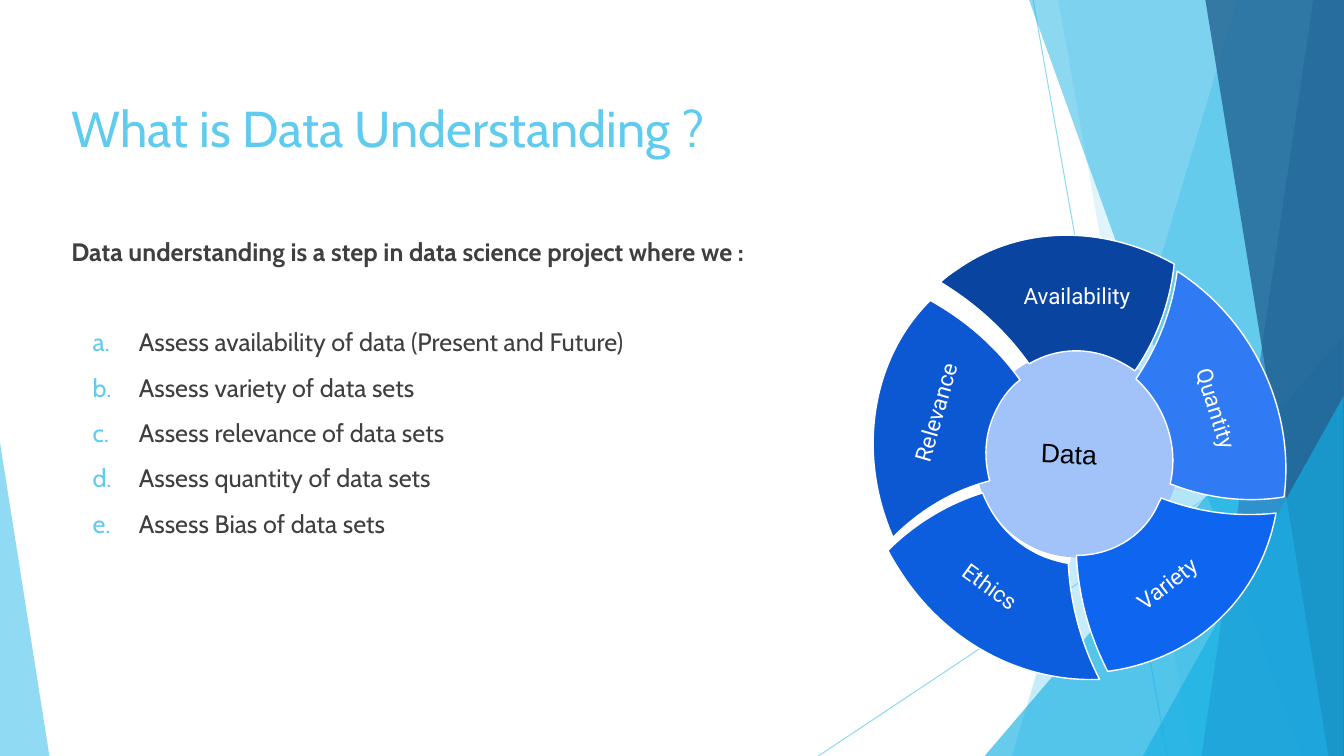
from lxml import etree
from pptx import Presentation
from pptx.dml.color import RGBColor
from pptx.enum.shapes import MSO_CONNECTOR, MSO_SHAPE
from pptx.enum.text import MSO_ANCHOR, PP_ALIGN
from pptx.oxml.ns import qn
from pptx.util import Cm, Pt

STRAIGHT = MSO_CONNECTOR.STRAIGHT
TRIANGLE, ELLIPSE = MSO_SHAPE.ISOSCELES_TRIANGLE, MSO_SHAPE.OVAL
TOP, MIDDLE = MSO_ANCHOR.TOP, MSO_ANCHOR.MIDDLE
LEFT, CENTER = PP_ALIGN.LEFT, PP_ALIGN.CENTER

WIDTH, HEIGHT = 33.87 / 2.54, 7.5
SKY, AZURE, WHITE, GREY = "5FCBEF", "16B0E3", "FFFFFF", "3F3F3F"

RAYS = [((10.25, 0), (11.58, HEIGHT)), ((WIDTH, 4.03), (8.12, HEIGHT))]
# Each facet: top left x, bottom left x, colour, opacity
BACK_FACETS = [(12.28, 10.04, SKY, 35), (10.5, 11.83, SKY, 20)]
FRONT_FACETS = [(10.21, 12.91, AZURE, 49), (13.03, 11.92, "2E83C3", 69), (11.96, 13.18, "226292", 80)]

STEPS = [
    "Assess availability of data (Present and Future)",
    "Assess variety of data sets",
    "Assess relevance of data sets",
    "Assess quantity of data sets",
    "Assess Bias of data sets",
]

# Each segment: label, label box, label rotation, colour, start point, Bézier curves
SEGMENTS = [
    ("Relevance", (8.39, 3.74, 1.78, 0.7), 286.1, "0C58D3", (9.82, 4.77), [
        (9.76, 4.55, 9.77, 4.33, 9.86, 4.12), (9.92, 3.98, 10.01, 3.85, 10.12, 3.77),
        (9.88, 3.43, 9.57, 3.17, 9.23, 2.98), (8.64, 3.56, 8.5, 4.51, 8.86, 5.33),
        (9.12, 5.07, 9.44, 4.87, 9.82, 4.77)]),
    ("Ethics", (9.01, 5.43, 1.63, 0.77), 35.9, "0D5DDF", (10.27, 5.48), [
        (10.02, 5.35, 9.85, 5.14, 9.75, 4.89), (9.39, 5, 9.06, 5.21, 8.81, 5.46),
        (8.86, 5.56, 8.92, 5.65, 8.98, 5.74), (9.45, 6.42, 10.19, 6.77, 10.91, 6.74),
        (10.73, 6.39, 10.62, 6, 10.6, 5.59), (10.5, 5.57, 10.38, 5.54, 10.27, 5.48)]),
    ("Variety", (10.76, 5.4, 1.63, 0.77), 322.6, "0E65F0", (11.52, 4.94), [
        (11.52, 4.95, 11.51, 4.97, 11.5, 4.98), (11.36, 5.32, 11.03, 5.51, 10.68, 5.51),
        (10.7, 5.92, 10.81, 6.31, 10.99, 6.66), (11.3, 6.62, 11.6, 6.51, 11.87, 6.33),
        (12.3, 6.03, 12.57, 5.59, 12.66, 5.09), (12.29, 5.13, 11.91, 5.09, 11.52, 4.94)]),
    ("Availability", (9.87, 2.55, 1.63, 0.77), 0, "0944A1", (11.13, 3.6), [
        (11.17, 3.62, 11.22, 3.65, 11.26, 3.68), (11.48, 3.36, 11.61, 3, 11.65, 2.62),
        (10.97, 2.24, 10.14, 2.22, 9.5, 2.67), (9.44, 2.71, 9.38, 2.75, 9.33, 2.8),
        (9.66, 3, 9.97, 3.27, 10.21, 3.61), (10.48, 3.45, 10.82, 3.43, 11.13, 3.6)]),
    ("Quantity", (11.18, 3.7, 1.78, 0.7), 72.5, "307BF3", (11.68, 2.69), [
        (11.63, 3.07, 11.49, 3.44, 11.27, 3.76), (11.56, 4.02, 11.7, 4.43, 11.61, 4.8),
        (11.99, 4.95, 12.38, 4.99, 12.74, 4.93), (12.81, 4.4, 12.68, 3.83, 12.34, 3.33),
        (12.16, 3.07, 11.93, 2.85, 11.68, 2.69)]),
]


def length(inches):
    """Convert inches to a centimetre-based length."""
    return Cm(inches * 2.54)


def color(hex_string):
    """Return the colour for a hex string."""
    return RGBColor.from_string(hex_string)


def set_opacity(shape, percent):
    """Make the explicit colours of a shape partly transparent."""
    for element in shape.element.iter(qn("a:srgbClr")):
        etree.SubElement(element, qn("a:alpha")).set("val", str(percent * 1000))


def paint(shape, fill, opacity=100, outline=None):
    """Give a shape a flat fill and an optional outline."""
    shape.shadow.inherit = False
    shape.fill.solid()
    shape.fill.fore_color.rgb = color(fill)
    if opacity < 100:
        set_opacity(shape, opacity)
    if outline:
        shape.line.color.rgb = color(outline)
        shape.line.width = Pt(1)
    else:
        shape.line.fill.background()


def add_ray(shapes, start, end):
    """Add a thin translucent line."""
    ray = shapes.add_connector(STRAIGHT, *map(length, start + end))
    ray.line.color.rgb = color(SKY)
    ray.line.width = Pt(0.75)
    set_opacity(ray, 69)
    etree.SubElement(ray.element.spPr, qn("a:effectLst"))


def add_outline(shapes, points):
    """Add a closed freeform through the given points and return it."""
    points = [tuple(map(length, point)) for point in points]
    builder = shapes.build_freeform(*points[0])
    builder.add_line_segments(points[1:], close=True)
    return builder.convert_to_shape()


def add_facet(shapes, top, bottom, fill, opacity):
    """Add a full-height facet that ends at the right edge."""
    facet = add_outline(shapes, [(top, 0), (WIDTH, 0), (WIDTH, HEIGHT), (bottom, HEIGHT)])
    paint(facet, fill, opacity)


def add_triangle(shapes, box, apex, fill, opacity):
    """Add a translucent triangle with its apex at a share of the width."""
    triangle = shapes.add_shape(TRIANGLE, *map(length, box))
    triangle.adjustments[0] = apex
    paint(triangle, fill, opacity)


def add_curved_outline(shapes, start, curves):
    """Add a closed freeform whose sides are cubic Bézier curves."""
    points = [start] + [curve[i:i + 2] for curve in curves for i in (0, 2, 4)]
    outline = add_outline(shapes, points)
    sides = list(outline.element.iter(qn("a:lnTo")))
    for first in range(0, len(sides), 3):
        curve = etree.Element(qn("a:cubicBezTo"))
        sides[first].addprevious(curve)
        for side in sides[first:first + 3]:
            curve.append(side[0])
            side.getparent().remove(side)
    return outline


def format_frame(shape, margins, anchor):
    """Set wrapping, margins and anchor, and return the text frame."""
    frame = shape.text_frame
    frame.word_wrap = True
    frame.vertical_anchor = anchor
    frame.margin_left, frame.margin_top, frame.margin_right, frame.margin_bottom = map(length, margins)
    return frame


def add_run(paragraph, text, font, size, hex_string, bold=False, align=LEFT):
    """Add a formatted run to a paragraph."""
    paragraph.alignment = align
    run = paragraph.add_run()
    run.text = text
    run.font.name = font
    run.font.size = Pt(size)
    run.font.bold = bold
    run.font.color.rgb = color(hex_string)


def add_text_box(shapes, box, margin, anchor, rotation=0):
    """Add a text box and return its text frame."""
    text_box = shapes.add_textbox(*map(length, box))
    text_box.rotation = rotation
    return format_frame(text_box, [margin] * 4, anchor)


def set_lettered(paragraph):
    """Number a paragraph with coloured lower-case letters."""
    paragraph.line_spacing = 1.5
    properties = paragraph._p.get_or_add_pPr()
    properties.set("marL", str(length(0.67)))
    properties.set("indent", str(length(-0.46)))
    bullet_color = etree.SubElement(properties, qn("a:buClr"))
    etree.SubElement(bullet_color, qn("a:srgbClr")).set("val", SKY)
    etree.SubElement(properties, qn("a:buAutoNum")).set("type", "alphaLcPeriod")


def add_background(shapes):
    """Add the rays, facets and triangles behind the content."""
    for start, end in RAYS:
        add_ray(shapes, start, end)
    for facet in BACK_FACETS:
        add_facet(shapes, *facet)
    add_triangle(shapes, (9.77, 3.33, 3.56, 4.17), 1, AZURE, 65)
    for facet in FRONT_FACETS:
        add_facet(shapes, *facet)
    add_triangle(shapes, (11.34, 3.93, 1.99, 3.57), 1, AZURE, 65)
    add_triangle(shapes, (0, 4.39, 0.49, 3.11), 0, SKY, 69)


def add_body(shapes):
    """Add the title, the lead sentence and the lettered steps."""
    title = add_text_box(shapes, (0.61, 0.86, 12.5, 1.11), 0.1, TOP)
    add_run(title.paragraphs[0], "What is Data Understanding ?", "Cabin", 36, SKY)
    body = add_text_box(shapes, (0.61, 2.24, 12.5, 5.1), 0.1, TOP)
    lead = "Data understanding is a step in data science project where we :"
    add_run(body.paragraphs[0], lead, "Cabin", 18, GREY, bold=True)
    for index, step in enumerate(STEPS):
        paragraph = body.add_paragraph()
        paragraph.space_before = Pt(0 if index else 32.4)
        set_lettered(paragraph)
        add_run(paragraph, step, "Cabin", 18, GREY)


def add_wheel(shapes):
    """Add the centre and the labelled segments around it."""
    hub = shapes.add_shape(ELLIPSE, *map(length, (9.67, 3.47, 2.04, 2.06)))
    hub.rotation = 2.2
    paint(hub, "A1C3FA")
    frame = format_frame(hub, (0.36, 0.07, 0.13, 0.07), MIDDLE)
    add_run(frame.paragraphs[0], "Data", "Arial", 19, "000000")
    for label, box, rotation, fill, start, curves in SEGMENTS:
        segment = shapes.add_group_shape().shapes
        paint(add_curved_outline(segment, start, curves), fill, outline=WHITE)
        frame = add_text_box(segment, box, 0.13, MIDDLE, rotation)
        add_run(frame.paragraphs[0], label, "Roboto", 16, WHITE, align=CENTER)


def main():
    """Build and save the slide."""
    presentation = Presentation()
    presentation.slide_width, presentation.slide_height = length(WIDTH), length(HEIGHT)
    slide = presentation.slides.add_slide(presentation.slide_layouts[6])
    add_background(slide.shapes.add_group_shape().shapes)
    add_body(slide.shapes)
    add_wheel(slide.shapes)
    presentation.save("out.pptx")


main()
